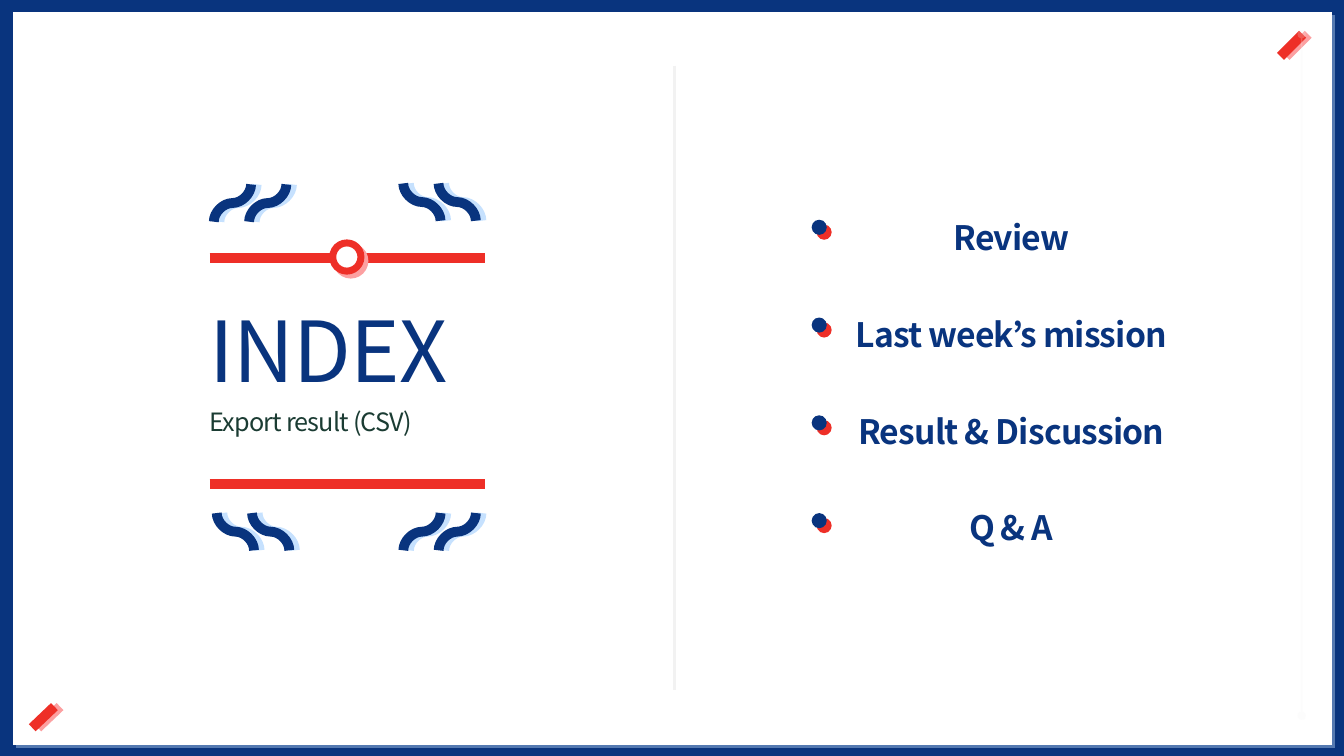
from lxml.etree import SubElement
from pptx import Presentation
from pptx.dml.color import RGBColor
from pptx.enum.shapes import MSO_CONNECTOR as CONNECTOR, MSO_SHAPE as SHAPE
from pptx.enum.text import MSO_ANCHOR as ANCHOR, MSO_AUTO_SIZE as AUTO_SIZE, PP_ALIGN as ALIGN
from pptx.oxml.ns import qn
from pptx.util import Pt

PX = 9144  # 100 px to the inch
NAVY, RED, WHITE, GREY = "09347E", "EE2F27", "FFFFFF", "F2F2F2"
PALE_BLUE, PALE_RED, GREEN = "C6E1FE", "FCA0A1", "1B3C33"
FONT = "Noto Sans CJK KR"
colour = RGBColor.from_string


def paint(shape, fill=None, line=None, width=0, shadow=None, distance=4, angle=0, alpha=100):
    """Set fill, line and a hard-edged shadow; without a shadow colour, none is cast."""
    if fill:
        shape.fill.solid()
        shape.fill.fore_color.rgb = colour(fill)
    if line:
        shape.line.color.rgb = colour(line)
        shape.line.width = Pt(width)
    else:
        shape.line.fill.background()
    effects = SubElement(shape.element.spPr, qn("a:effectLst"))
    if shadow:
        outer = SubElement(effects, qn("a:outerShdw"), blurRad="0", dist=str(Pt(distance)),
                           dir=str(angle * 60000), algn="tl", rotWithShape="0")
        tint = SubElement(outer, qn("a:srgbClr"), val=shadow)
        SubElement(tint, qn("a:alpha"), val=str(alpha * 1000))
    return shape


def write(holder, lines, box, size, color, align, bold=False, gap=0):
    """Place a placeholder and fill it with one paragraph per line."""
    holder.left, holder.top, holder.width, holder.height = [v * PX for v in box]
    frame = holder.text_frame
    frame.auto_size, frame.word_wrap = AUTO_SIZE.NONE, True
    frame.vertical_anchor = ANCHOR.MIDDLE
    frame.margin_left = frame.margin_top = frame.margin_right = frame.margin_bottom = 0
    frame.text = "\n".join(lines)
    for i, paragraph in enumerate(frame.paragraphs):
        paragraph.alignment = align
        paragraph.line_spacing = 1.2
        paragraph.space_before = Pt(gap if i else 0)
        paragraph.space_after = Pt(0)
        properties = paragraph._p.get_or_add_pPr()
        properties.set("marL", "0")
        properties.set("indent", "0")
        SubElement(properties, qn("a:buNone"))
        run = paragraph.runs[0]
        run.font.size, run.font.bold = Pt(size), bold
        run.font.color.rgb = colour(color)
        run.font.name = FONT
        run_properties = run._r.get_or_add_rPr()
        run_properties.set("spc", "-60")
        SubElement(run_properties, qn("a:ea"), typeface=FONT)


deck = Presentation()
deck.slide_width, deck.slide_height = 1333 * PX, 750 * PX
slide = deck.slides.add_slide(deck.slide_layouts[3])
shapes = slide.shapes
heading, subtitle, agenda = slide.placeholders

# Navy border around a white panel, which lies behind the text
slide.background.fill.solid()
slide.background.fill.fore_color.rgb = colour(NAVY)
panel = shapes.add_shape(SHAPE.RECTANGLE, 13 * PX, 12 * PX, 1308 * PX, 727 * PX)
paint(panel, WHITE, shadow=PALE_BLUE, distance=3, angle=45, alpha=40)
heading.element.addprevious(panel.element)

# Straight lines: heading bars, divider, corner strokes
for x1, y1, x2, y2, color, width, shadow in [
    (208, 480, 481, 480, RED, 7, None),
    (208, 256, 481, 256, RED, 7, None),
    (669, 65, 669, 685, GREY, 2.5, None),
    (1292, 34, 1270, 56, RED, 7, PALE_RED),
    (54, 701, 32, 722, RED, 7, PALE_RED),
]:
    stroke = shapes.add_connector(CONNECTOR.STRAIGHT, x1 * PX, y1 * PX, x2 * PX, y2 * PX)
    paint(stroke, line=color, width=width, shadow=shadow)

# Faint line at the right edge with round ends
edge = shapes.add_connector(CONNECTOR.STRAIGHT, 1291 * PX, 34 * PX, 1291 * PX, 710 * PX)
paint(edge, line=GREY, width=1)
edge_line = edge.line._get_or_add_ln()
SubElement(edge_line.find(".//" + qn("a:srgbClr")), qn("a:alpha"), val="22000")
for end in ("a:headEnd", "a:tailEnd"):
    SubElement(edge_line, qn(end), type="oval")

# Ring on the upper bar
ring = shapes.add_shape(SHAPE.OVAL, 330 * PX, 241 * PX, 28 * PX, 28 * PX)
paint(ring, WHITE, RED, 5, shadow=PALE_RED, angle=45)

# Pairs of waves, turned so that each one starts downwards
WAVE, WAVE_STEP = 37, 35
for left, top, rising in [(212, 183, True), (400, 182, False),
                          (215, 509, False), (400, 509, True)]:
    for x in (left, left + WAVE_STEP):
        start, stop = (x, x + WAVE) if rising else (x + WAVE, x)
        wave = shapes.add_connector(CONNECTOR.CURVE, start * PX, top * PX,
                                    stop * PX, (top + WAVE) * PX)
        turn = 90 if rising else 270
        wave.element.spPr.find(qn("a:xfrm")).set("rot", str(turn * 60000))
        paint(wave, line=NAVY, width=7, shadow=PALE_BLUE)

# Heading and agenda
write(heading, ["INDEX"], (208, 305, 273, 62), 60, NAVY, ALIGN.JUSTIFY)
write(subtitle, ["Export result (CSV)"], (208, 398, 273, 34), 18, GREEN, ALIGN.JUSTIFY)
topics = ["Review", "Last week’s mission", "Result & Discussion", "Q & A"]
write(agenda, topics, (789, 187, 428, 377), 24, NAVY, ALIGN.CENTER, bold=True, gap=34.5)

# One dot per topic
for i in range(len(topics)):
    dot = shapes.add_shape(SHAPE.OVAL, 805 * PX, (218 + 97 * i) * PX, 15 * PX, 15 * PX)
    paint(dot, NAVY, shadow=RED, distance=5, angle=45)

deck.save("out.pptx")
